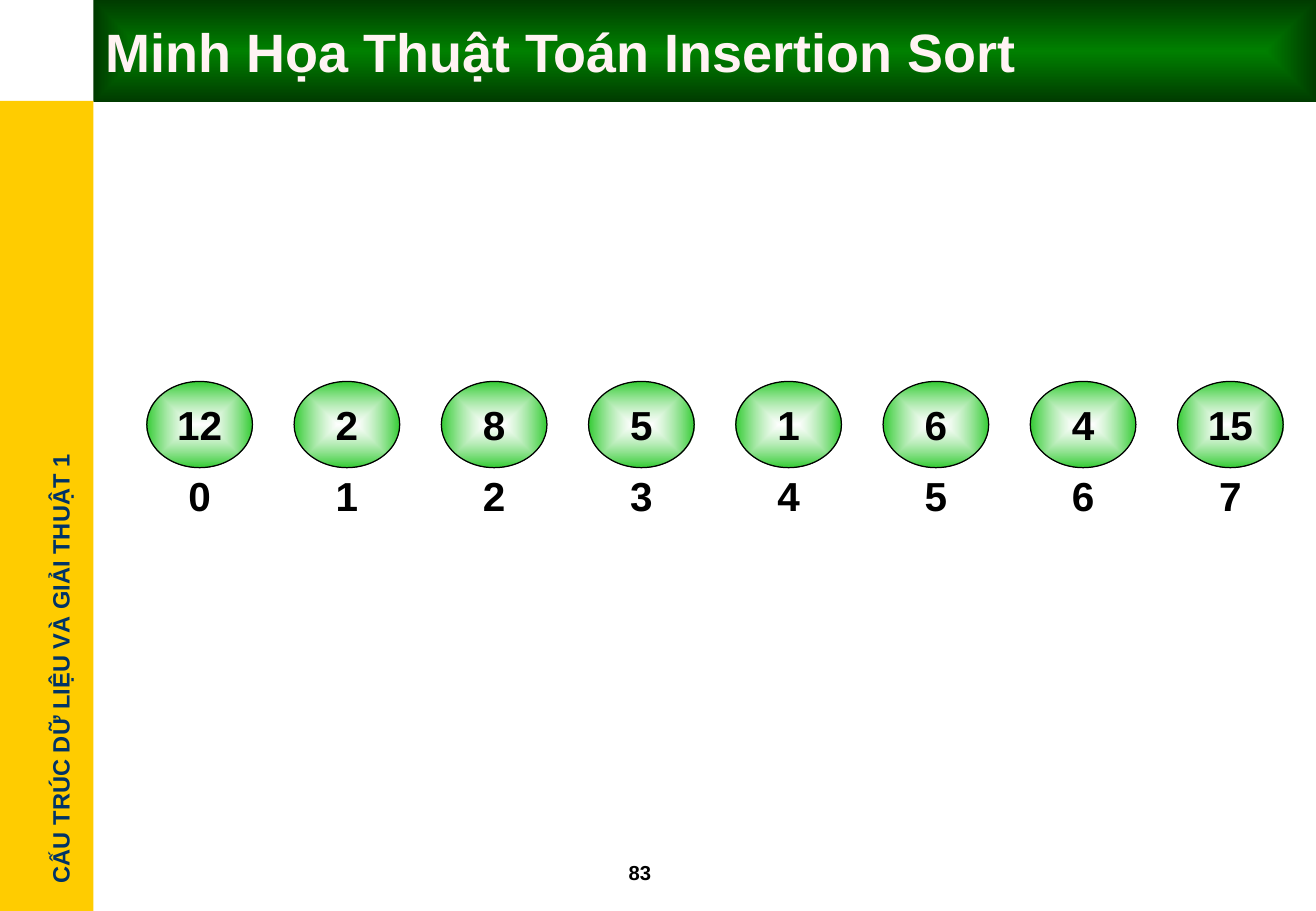
from dataclasses import dataclass

from lxml import etree
from pptx import Presentation
from pptx.dml.color import RGBColor
from pptx.enum import shapes, text
from pptx.oxml import ns
from pptx.util import Inches, Pt


@dataclass(frozen=True)
class Theme:
    font: str = "Arial"
    ink: str = "000000"
    sidebar: str = "FFCC00"
    sidebar_text: str = "003366"
    title_text: str = "FFF3F3"
    banner_centre: str = "008000"
    banner_edge: str = "003B00"
    node_centre: str = "FFFFFF"
    node_edge: str = "33CC33"
    title_size: int = 32
    node_size: int = 24
    course_size: int = 14
    number_size: int = 12


THEME = Theme()
PAGE_WIDTH, PAGE_HEIGHT = 10.84, 7.5
SIDEBAR_WIDTH, BANNER_HEIGHT = 0.77, 0.84
VALUES = [12, 2, 8, 5, 1, 6, 4, 15]


def write(shape, words, size, color=THEME.ink, align=text.PP_ALIGN.LEFT, wrap=True):
    frame = shape.text_frame
    frame.text = words
    frame.word_wrap = wrap
    frame.auto_size = text.MSO_AUTO_SIZE.NONE
    frame.vertical_anchor = text.MSO_ANCHOR.MIDDLE
    para = frame.paragraphs[0]
    para.alignment = align
    font = para.runs[0].font
    font.name, font.size, font.bold = THEME.font, Pt(size), True
    font.color.rgb = RGBColor.from_string(color)


def fill_from_centre(shape, centre, edge, opacity=100):
    """Fill with a rectangular gradient; opacity (percent) applies to the centre."""
    shape.fill.gradient()
    for stop, color in zip(shape.fill.gradient_stops, (centre, edge)):
        stop.color.rgb = RGBColor.from_string(color)
    gradient = shape._element.spPr.find(ns.qn("a:gradFill"))
    if opacity < 100:
        first_color = gradient.find(".//" + ns.qn("a:srgbClr"))
        etree.SubElement(first_color, ns.qn("a:alpha"), val=str(opacity * 1000))
    rays = etree.Element(ns.qn("a:path"), path="rect")
    etree.SubElement(rays, ns.qn("a:fillToRect"),
                     {side: "50000" for side in "ltrb"})
    gradient.replace(gradient.find(ns.qn("a:lin")), rays)


def add_banner(page, left, top, width, height):
    title = page.shapes.title
    title.left, title.top = Inches(left), Inches(top)
    title.width, title.height = Inches(width), Inches(height)
    fill_from_centre(title, THEME.banner_centre, THEME.banner_edge)
    write(title, "Minh Họa Thuật Toán Insertion Sort", THEME.title_size, THEME.title_text)


def add_sidebar(page, left, top, width, height):
    band = page.shapes.add_shape(shapes.MSO_SHAPE.RECTANGLE, Inches(left), Inches(top),
                                 Inches(width), Inches(height))
    band.shadow.inherit = False
    band.fill.solid()
    band.fill.fore_color.rgb = RGBColor.from_string(THEME.sidebar)
    band.line.fill.background()

    length, thickness = 3.73, 0.34
    centre_x = left + width / 2 + 0.11
    centre_y = top + height - 0.13 - length / 2
    course = page.shapes.add_textbox(Inches(centre_x - length / 2),
                                     Inches(centre_y - thickness / 2),
                                     Inches(length), Inches(thickness))
    course.rotation = 270
    write(course, "CẤU TRÚC DỮ LIỆU VÀ GIẢI THUẬT 1", THEME.course_size,
          THEME.sidebar_text, wrap=False)


def add_array(page, left, top, width, values):
    """Lay out the values as evenly spaced nodes with their indices below."""
    node_width, node_height, index_drop = 0.87, 0.71, 0.58
    pitch = (width - node_width) / (len(values) - 1)
    size = Inches(node_width), Inches(node_height)
    for index, value in enumerate(values):
        x = Inches(left + index * pitch)
        node = page.shapes.add_shape(shapes.MSO_SHAPE.OVAL, x, Inches(top), *size)
        node.shadow.inherit = False
        fill_from_centre(node, THEME.node_centre, THEME.node_edge, opacity=61)
        node.line.color.rgb = RGBColor.from_string(THEME.ink)
        node.line.width = Pt(0.75)
        label = page.shapes.add_textbox(x, Inches(top + index_drop), *size)
        for shape, number in ((node, value), (label, index)):
            write(shape, str(number), THEME.node_size, align=text.PP_ALIGN.CENTER,
                  wrap=False)


def add_page_number(page, left, top, width, height):
    number = page.shapes.add_textbox(Inches(left), Inches(top),
                                     Inches(width), Inches(height))
    write(number, "83", THEME.number_size)


def main():
    deck = Presentation()
    deck.slide_width, deck.slide_height = Inches(PAGE_WIDTH), Inches(PAGE_HEIGHT)
    page = deck.slides.add_slide(deck.slide_layouts.get_by_name("Title Only"))
    add_banner(page, SIDEBAR_WIDTH, 0, PAGE_WIDTH - SIDEBAR_WIDTH, BANNER_HEIGHT)
    add_sidebar(page, 0, 0.83, SIDEBAR_WIDTH, PAGE_HEIGHT - 0.83)
    add_array(page, 1.21, 3.14, 9.36, VALUES)
    add_page_number(page, 5.08, 7.03, 0.83, 0.3)
    deck.save("out.pptx")


if __name__ == "__main__":
    main()
